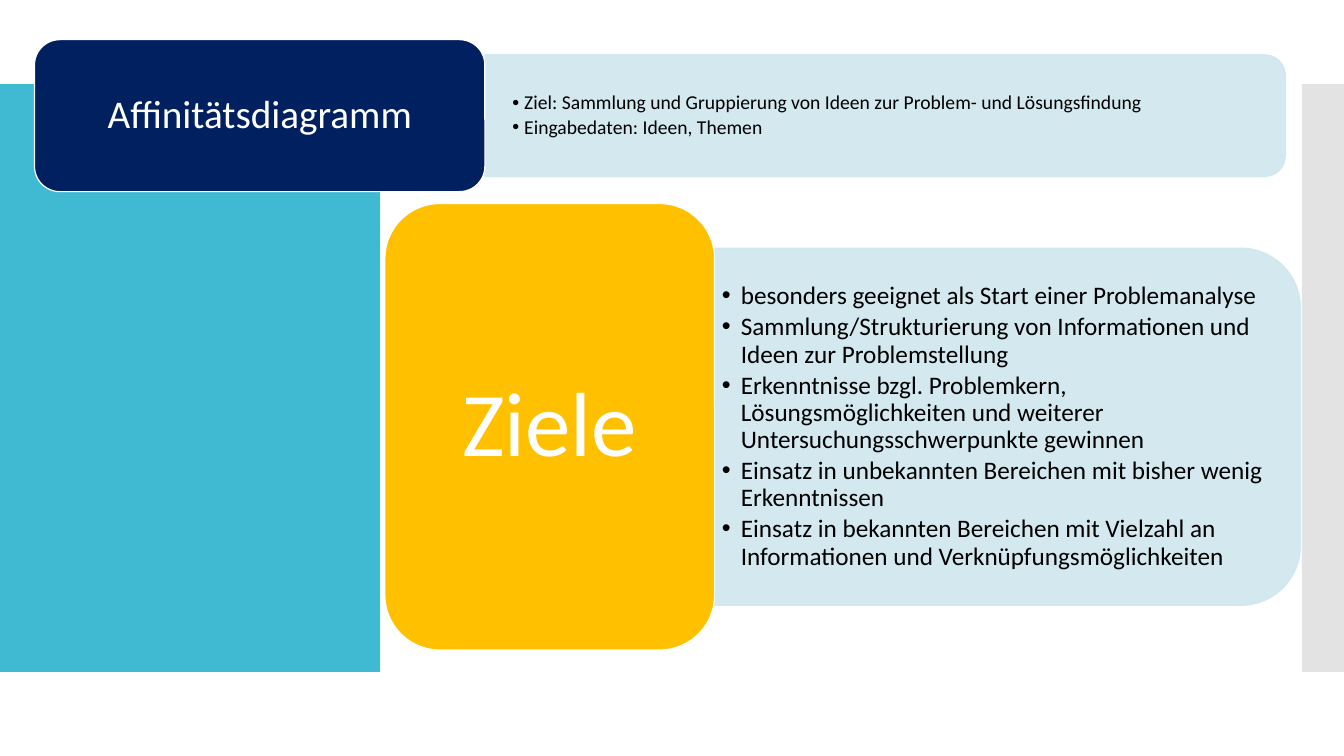
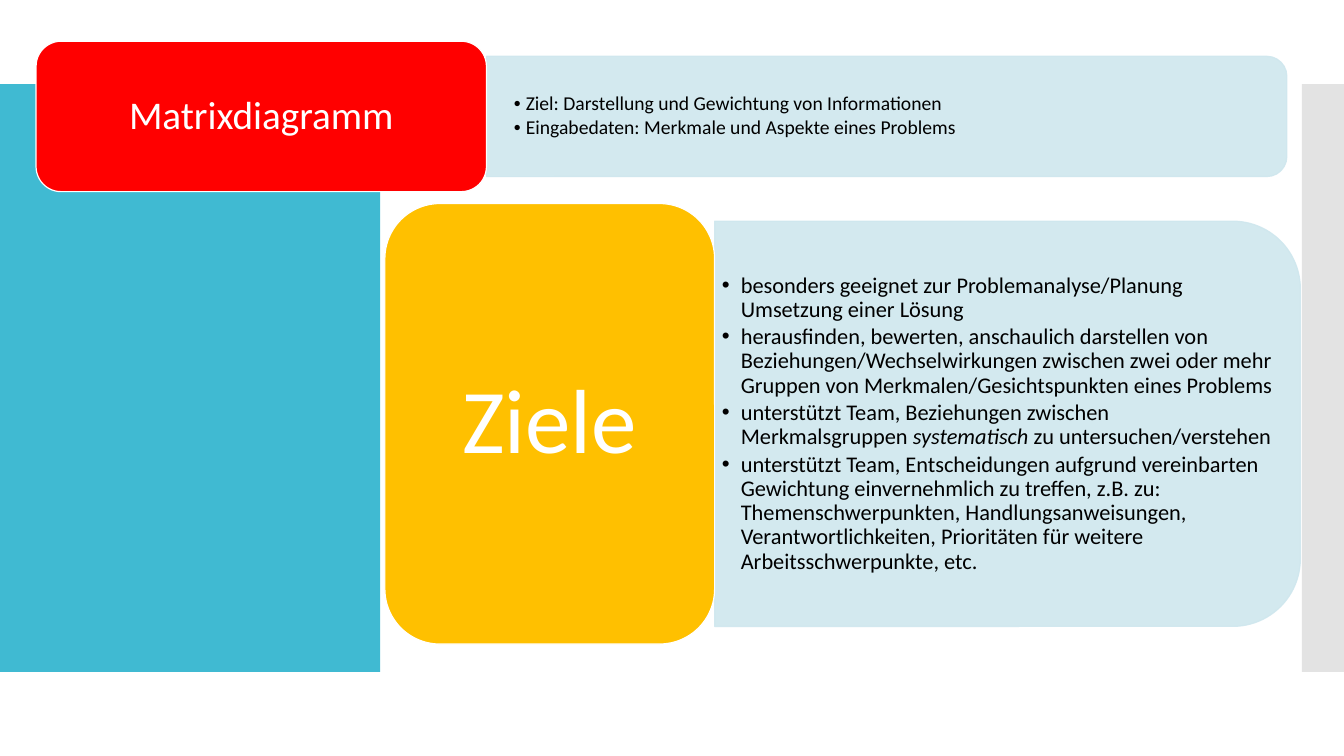
from dataclasses import dataclass

from lxml.etree import SubElement
from pptx import Presentation
from pptx.dml.color import RGBColor
from pptx.enum.shapes import MSO_SHAPE
from pptx.enum.text import MSO_ANCHOR, MSO_AUTO_SIZE, PP_ALIGN
from pptx.oxml.ns import qn
from pptx.util import Cm, Pt

FONT = "Calibri"
COLORS = {
    "teal": "40BAD2", "gray": "C8C8C8", "pale": "CFE7EE", "gold": "FFC000",
    "navy": "002060", "red": "FF0000", "white": "FFFFFF", "black": "000000",
}
CORNER = 1 / 6  # corner radius of a rounded box, as a share of its short side


@dataclass(frozen=True)
class Box:
    """A rectangle in centimetres."""
    x: float
    y: float
    w: float
    h: float

    def shrink(self, dx: float, dy: float, dw: float) -> "Box":
        return Box(self.x + dx, self.y + dy, self.w - dw, self.h - 2 * dy)

    def lengths(self) -> tuple[Cm, Cm, Cm, Cm]:
        return Cm(self.x), Cm(self.y), Cm(self.w), Cm(self.h)


@dataclass(frozen=True)
class Run:
    text: str
    italic: bool = False


Bullet = tuple[Run, ...]


@dataclass(frozen=True)
class TextStyle:
    size: float
    color: str
    after: float  # space after, as a share of the size
    margins: tuple[float, float]  # horizontal, vertical, in cm
    hang: float = 0  # hanging indent in cm
    align: PP_ALIGN = PP_ALIGN.LEFT


@dataclass(frozen=True)
class Topic:
    title: str
    color: str
    title_card: Box
    summary: list[Bullet]
    goals_card: Box
    goals_share: float  # height of the goals panel relative to its card
    goals_size: float
    goals: list[Bullet]


TITLE = TextStyle(28, "white", 0.35, (0.3, 0.15), align=PP_ALIGN.CENTER)
GOALS_LABEL = TextStyle(65, "white", 0.35, (0.69, 0.36), align=PP_ALIGN.CENTER)
SUMMARY = TextStyle(14, "black", 0.15, (0.69, 0.36), hang=0.3)
SUMMARY_WIDTH, GOALS_WIDTH = 20.17, 14.76

TOPICS = [
    Topic(
        "Affinitätsdiagramm", "navy", Box(0.87, 1, 11.35, 3.83),
        [
            (Run("Ziel: Sammlung und Gruppierung von Ideen zur Problem- und Lösungsfindung"),),
            (Run("Eingabedaten: Ideen, Themen"),),
        ],
        Box(9.7, 5.13, 8.31, 11.25), 0.8, 18,
        [
            (Run("besonders geeignet als Start einer Problemanalyse"),),
            (Run("Sammlung/Strukturierung von Informationen und Ideen zur Problemstellung"),),
            (Run("Erkenntnisse bzgl. Problemkern, Lösungsmöglichkeiten und weiterer "
                 "Untersuchungsschwerpunkte gewinnen"),),
            (Run("Einsatz in unbekannten Bereichen mit bisher wenig Erkenntnissen"),),
            (Run("Einsatz in bekannten Bereichen mit Vielzahl an Informationen und "
                 "Verknüpfungsmöglichkeiten"),),
        ],
    ),
    Topic(
        "Matrixdiagramm", "red", Box(0.91, 1.04, 11.35, 3.79),
        [
            (Run("Ziel: Darstellung und Gewichtung von Informationen"),),
            (Run("Eingabedaten: Merkmale und Aspekte eines Problems"),),
        ],
        Box(9.7, 5.13, 8.31, 11.1), 0.92, 16,
        [
            (Run("besonders geeignet zur Problemanalyse/Planung Umsetzung einer Lösung"),),
            (Run("herausfinden, bewerten, anschaulich darstellen von "
                 "Beziehungen/Wechselwirkungen zwischen zwei oder mehr Gruppen von "
                 "Merkmalen/Gesichtspunkten eines Problems"),),
            (Run("unterstützt Team, Beziehungen zwischen Merkmalsgruppen "),
             Run("systematisch ", italic=True), Run("zu untersuchen/verstehen")),
            (Run("unterstützt Team, Entscheidungen aufgrund vereinbarten Gewichtung "
                 "einvernehmlich zu treffen, z.B. zu: Themenschwerpunkten, "
                 "Handlungsanweisungen, Verantwortlichkeiten, Prioritäten für weitere "
                 "Arbeitsschwerpunkte, etc."),),
        ],
    ),
]


def rgb(name: str) -> RGBColor:
    return RGBColor.from_string(COLORS[name])


def add_box(s, kind: MSO_SHAPE, box: Box, fill: str, line: str | None = None,
            opacity: int = 100):
    sp = s.shapes.add_shape(kind, *box.lengths())
    sp.shadow.inherit = False
    sp.fill.solid()
    sp.fill.fore_color.rgb = rgb(fill)
    if line:
        sp.line.color.rgb = rgb(line)
        sp.line.width = Pt(0.85)
    else:
        sp.line.fill.background()
    if opacity < 100:
        for color in sp.element.spPr.iter(qn("a:srgbClr")):
            SubElement(color, qn("a:alpha")).set("val", str(opacity * 1000))
    return sp


def add_panel(s, box: Box) -> None:
    """Draw a pale panel whose two right corners are rounded."""
    upright = Box(box.x + (box.w - box.h) / 2, box.y + (box.h - box.w) / 2, box.h, box.w)
    sp = add_box(s, MSO_SHAPE.ROUND_2_SAME_RECTANGLE, upright, "pale", "pale", 90)
    sp.rotation = 90


def write(sp, paragraphs: list[Bullet], style: TextStyle) -> None:
    tf = sp.text_frame
    tf.word_wrap = True
    tf.auto_size = MSO_AUTO_SIZE.NONE
    tf.vertical_anchor = MSO_ANCHOR.MIDDLE
    tf.margin_left = tf.margin_right = Cm(style.margins[0])
    tf.margin_top = tf.margin_bottom = Cm(style.margins[1])
    for i, runs in enumerate(paragraphs):
        p = tf.add_paragraph() if i else tf.paragraphs[0]
        p.alignment = style.align
        p.line_spacing = 0.9
        p.space_before = Pt(0)
        p.space_after = Pt(style.size * style.after)
        if style.hang:
            pPr = p._p.get_or_add_pPr()
            pPr.set("marL", str(Cm(style.hang)))
            pPr.set("indent", str(-Cm(style.hang)))
        for run in runs:
            r = p.add_run()
            r.text = run.text
            r.font.name = FONT
            r.font.size = Pt(style.size)
            r.font.italic = run.italic
            r.font.color.rgb = rgb(style.color)


def place(s, idx: int, box: Box, paragraphs: list[Bullet], style: TextStyle) -> None:
    """Fill a placeholder and bring it in front of the shapes drawn so far."""
    ph = next(ph for ph in s.placeholders if ph.placeholder_format.idx == idx)
    ph.left, ph.top, ph.width, ph.height = box.lengths()
    write(ph, paragraphs, style)
    s.shapes.element.append(ph.element)


def panel_beside(card: Box, width: float, share: float) -> Box:
    height = card.h * share
    return Box(card.x + card.w, card.y + (card.h - height) / 2, width, height)


def corner_inset(box: Box) -> float:
    """Distance that keeps text clear of the rounded corners."""
    return 0.29 * CORNER * min(box.w, box.h)


def add_list(s, idx: int, panel: Box, items: list[Bullet], style: TextStyle) -> None:
    add_panel(s, panel)
    inset = corner_inset(panel)
    place(s, idx, panel.shrink(0, inset, inset), items, style)


def add_layout_bands(s) -> None:
    """Put the side bands on the layout, behind everything else."""
    bands = [
        add_box(s, MSO_SHAPE.RECTANGLE, Box(0, 2.12, 9.58, 14.81), "teal"),
        add_box(s, MSO_SHAPE.RECTANGLE, Box(32.81, 2.12, 1.06, 14.81), "gray", opacity=50),
    ]
    for position, band in enumerate(bands, start=2):
        s.slide_layout.shapes.element.insert(position, band.element)


def add_topic(s, topic: Topic) -> None:
    card = topic.title_card
    add_list(s, 1, panel_beside(card, SUMMARY_WIDTH, 0.8), topic.summary, SUMMARY)
    add_box(s, MSO_SHAPE.ROUNDED_RECTANGLE, card, topic.color, "white")
    inset = corner_inset(card)
    place(s, 0, card.shrink(inset, inset, 2 * inset), [(Run(topic.title),)], TITLE)

    card = topic.goals_card
    style = TextStyle(topic.goals_size, "black", 0.15, (0.18, 0.09), hang=0.48)
    add_list(s, 2, panel_beside(card, GOALS_WIDTH, topic.goals_share), topic.goals, style)
    label = add_box(s, MSO_SHAPE.ROUNDED_RECTANGLE, card, "gold", "white")
    write(label, [(Run("Ziele"),)], GOALS_LABEL)


def main() -> None:
    prs = Presentation()
    prs.slide_width, prs.slide_height = Cm(33.87), Cm(19.05)
    layout = prs.slide_layouts.get_by_name("Two Content")
    for i, topic in enumerate(TOPICS):
        s = prs.slides.add_slide(layout)
        if i == 0:
            add_layout_bands(s)
        add_topic(s, topic)
    prs.save("out.pptx")


if __name__ == "__main__":
    main()
